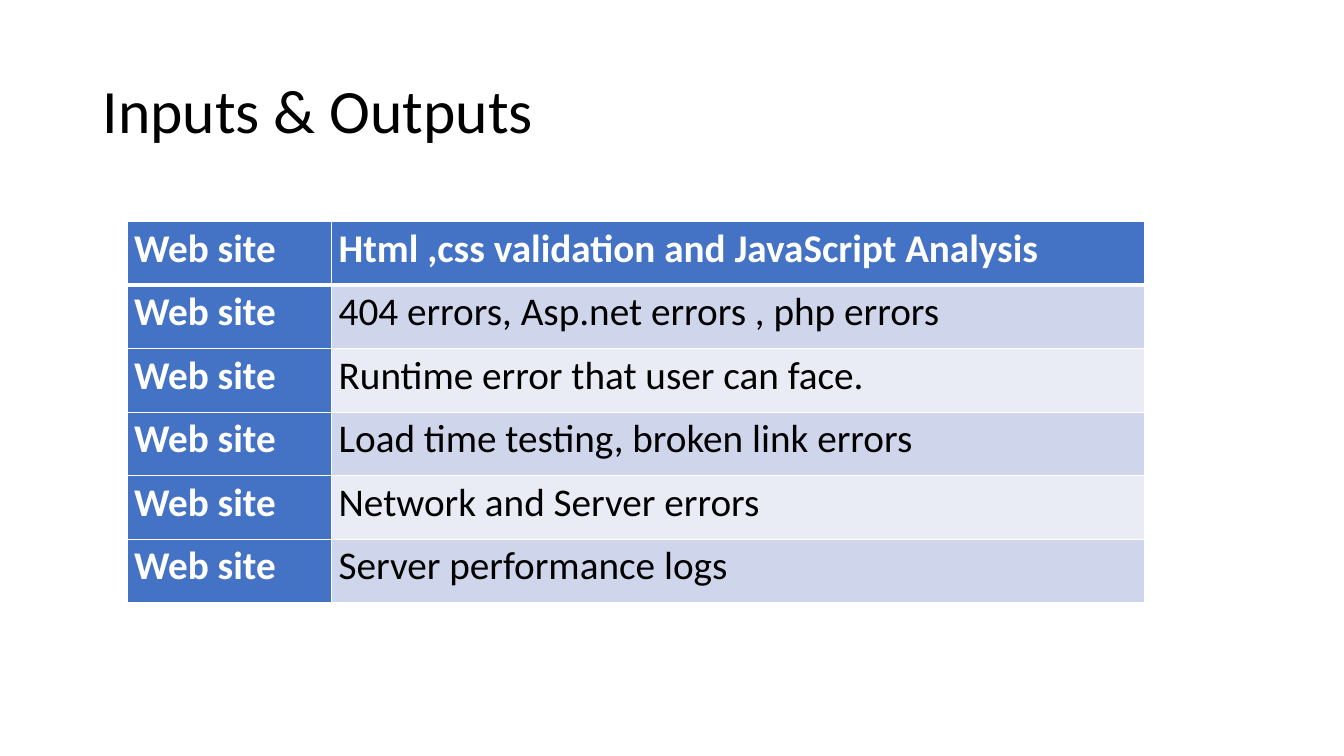
from lxml import etree
from pptx import Presentation
from pptx.dml.color import RGBColor
from pptx.enum.text import MSO_ANCHOR, PP_ALIGN
from pptx.oxml.ns import qn
from pptx.util import Inches, Pt

MIDDLE = MSO_ANCHOR.MIDDLE
TOP = MSO_ANCHOR.TOP
LEFT = PP_ALIGN.LEFT
JUSTIFY = PP_ALIGN.JUSTIFY

FONT = "Calibri"
COLORS = {
    "white": "FFFFFF",
    "black": "000000",
    "blue": "4472C4",
    "dark": "CFD5EA",
    "light": "E9EBF5",
}
ROWS = [
    ("Web site", "Html ,css validation and JavaScript Analysis "),
    ("Web site", "404 errors, Asp.net errors , php errors "),
    ("Web site", "Runtime error that user can face. "),
    ("Web site", "Load time testing, broken link errors "),
    ("Web site ", "Network and Server errors"),
    ("Web site", "Server performance logs "),
]
WIDTHS = (2.03, 8.06)
HEIGHT = 0.63


def color(name):
    return RGBColor.from_string(COLORS[name])


def write(frame, text, size, ink, bold, align, space):
    para = frame.paragraphs[0]
    para.alignment = align
    para.line_spacing = space
    run = para.add_run()
    run.text = text
    run.font.name = FONT
    run.font.size = Pt(size)
    run.font.bold = bold
    run.font.color.rgb = color(ink)


def add_title(slide, text):
    box = slide.shapes.add_textbox(
        Inches(0.92), Inches(0.4), Inches(11.5), Inches(1.45))
    frame = box.text_frame
    frame.word_wrap = True
    frame.vertical_anchor = MIDDLE
    write(frame, text, 44, "black", False, LEFT, 0.9)


def add_edges(cell, top, bottom):
    # Edge lines come before the fill in the cell properties
    props = cell._tc.get_or_add_tcPr()
    edges = (("L", 1), ("R", 1), ("T", top), ("B", bottom))
    for place, (side, width) in enumerate(edges):
        line = etree.Element(qn(f"a:ln{side}"), w=str(Pt(width)))
        fill = etree.SubElement(line, qn("a:solidFill"))
        etree.SubElement(fill, qn("a:srgbClr"), val=COLORS["white"])
        props.insert(place, line)


def fill_cell(cell, text, row, col):
    head = row == 0 or col == 0
    band = "dark" if row % 2 else "light"
    cell.fill.solid()
    cell.fill.fore_color.rgb = color("blue" if head else band)
    cell.margin_left = cell.margin_right = Inches(0.07)
    cell.margin_top = cell.margin_bottom = 0
    cell.vertical_anchor = TOP
    ink = "white" if head else "black"
    write(cell.text_frame, text, 28, ink, head, JUSTIFY, 1.07)
    # A thick line parts the header from the body
    add_edges(cell, 3 if row == 1 else 1, 3 if row == 0 else 1)


def add_grid(slide, rows):
    table = slide.shapes.add_table(
        len(rows), len(WIDTHS), Inches(1.26), Inches(2.2),
        Inches(sum(WIDTHS)), Inches(HEIGHT * len(rows))).table
    for col, width in enumerate(WIDTHS):
        table.columns[col].width = Inches(width)
    for row, texts in enumerate(rows):
        table.rows[row].height = Inches(HEIGHT)
        for col, text in enumerate(texts):
            fill_cell(table.cell(row, col), text, row, col)


def main():
    deck = Presentation()
    deck.slide_width = Inches(13.33)
    deck.slide_height = Inches(7.5)
    slide = deck.slides.add_slide(deck.slide_layouts[6])
    add_title(slide, "Inputs & Outputs ")
    add_grid(slide, ROWS)
    deck.save("out.pptx")


main()
